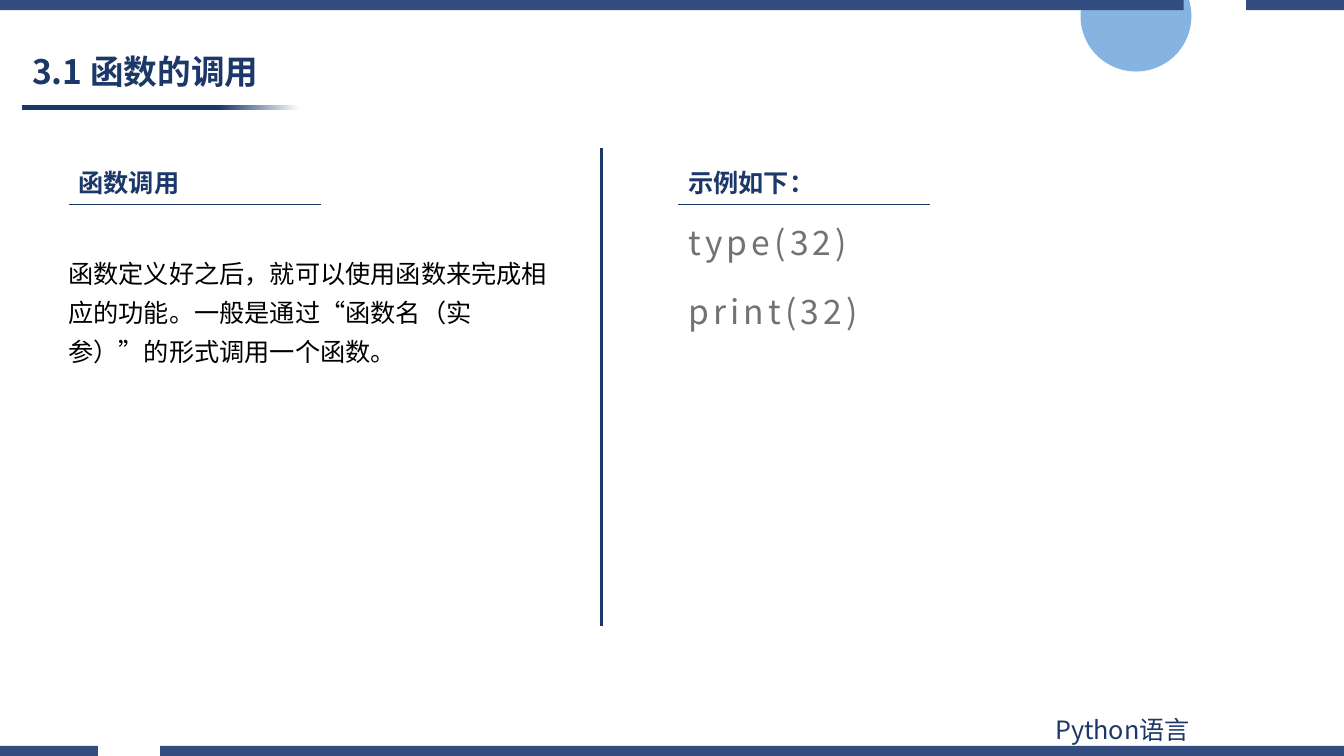
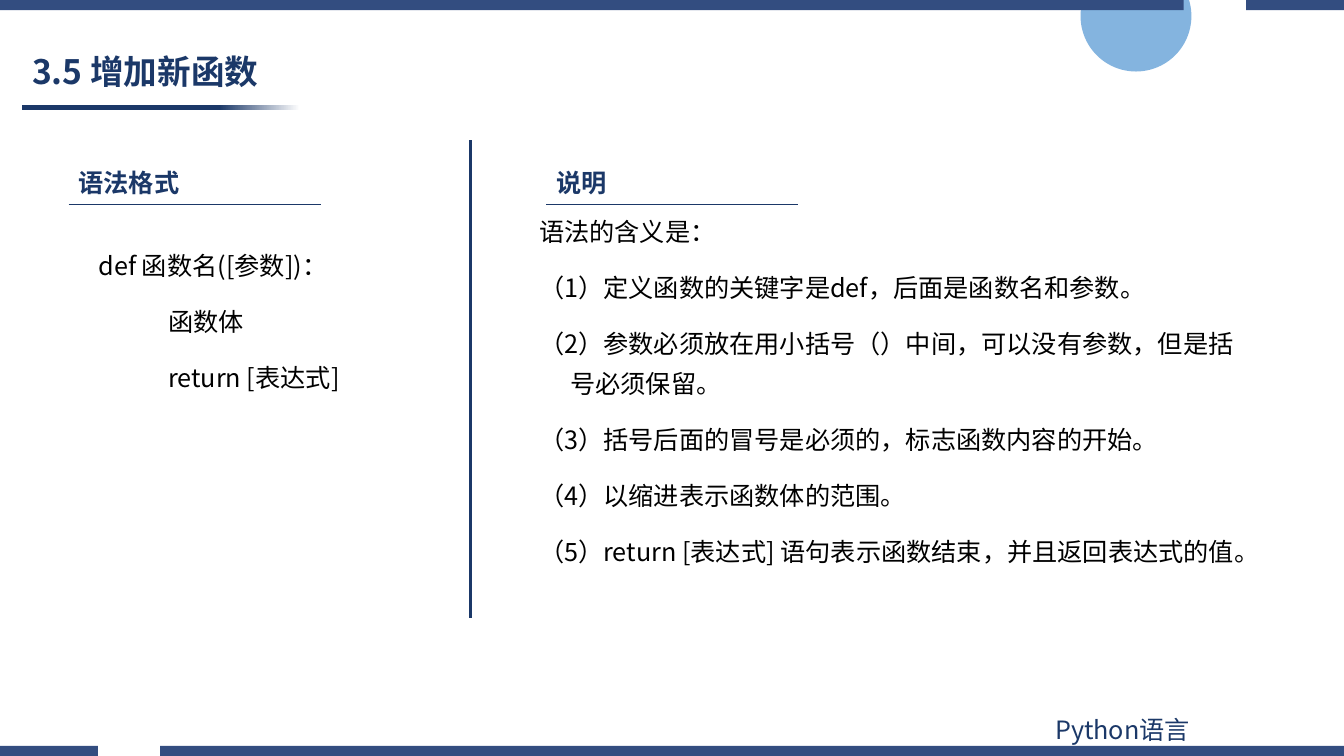
from dataclasses import dataclass
from typing import NamedTuple

from lxml import etree
from pptx import Presentation
from pptx.dml.color import RGBColor
from pptx.enum.shapes import MSO_CONNECTOR, MSO_SHAPE
from pptx.enum.text import MSO_ANCHOR
from pptx.oxml.ns import qn
from pptx.shapes.autoshape import Shape
from pptx.slide import Slide
from pptx.util import Inches, Pt

STRAIGHT = MSO_CONNECTOR.STRAIGHT
OVAL = MSO_SHAPE.OVAL
RECTANGLE = MSO_SHAPE.RECTANGLE
MIDDLE = MSO_ANCHOR.MIDDLE
TOP = MSO_ANCHOR.TOP

# The grid has square cells: 160 columns by 90 rows fill the slide.
COLUMNS, ROWS = 160, 90
CELL = Inches(1) // 12

BAND_HEIGHT = 1.2
BAND_SEGMENTS = ((0, 11.66), (19.08, COLUMNS))
HEADING_TOP = 19.32
UNDERLINE_ROW = 24.3
UNDERLINE_LENGTH = 30
DIVIDER_HEIGHT = 56.88
LEFT_HEADING = 8.16
HANGING = 3.72
TAB = 12


@dataclass(frozen=True)
class Theme:
    font: str = "Noto Sans CJK SC"
    navy: RGBColor = RGBColor(0x1B, 0x38, 0x68)
    band: RGBColor = RGBColor(0x33, 0x4D, 0x80)
    circle: RGBColor = RGBColor(0x5B, 0x9B, 0xD5)
    white: RGBColor = RGBColor(0xFF, 0xFF, 0xFF)
    black: RGBColor = RGBColor(0x00, 0x00, 0x00)
    gray: RGBColor = RGBColor(0x76, 0x71, 0x71)
    title_size: int = 24
    text_size: int = 18
    divider_width: float = 2
    underline_width: float = 0.5


THEME = Theme()


class Box(NamedTuple):
    left: float
    top: float
    width: float
    height: float


class Style(NamedTuple):
    size: int = THEME.text_size
    color: RGBColor = THEME.black
    bold: bool = False
    line_spacing: float = 1.0
    gap: float = 0
    letter_spacing: float = 0


class Line(NamedTuple):
    text: str
    margin: float = 0
    indent: float = 0


@dataclass(frozen=True)
class Panel:
    heading: str
    heading_left: float
    body: Box
    lines: tuple[Line, ...]
    style: Style


@dataclass(frozen=True)
class Lesson:
    title: str
    divider_column: float
    divider_top: float
    panels: tuple[Panel, ...]


TITLE = Style(THEME.title_size, THEME.navy, True, 0.9)
HEADING = Style(color=THEME.navy, bold=True)
FOOTER = Style(color=THEME.navy)
PROSE = Style(line_spacing=1.3)
LIST = Style(line_spacing=1.3, gap=6)
CODE = Style(THEME.title_size, THEME.gray, line_spacing=1.3, gap=6, letter_spacing=3)


def hanging(*texts: str) -> tuple[Line, ...]:
    return tuple(Line(text, HANGING, -HANGING) for text in texts)


LESSONS = (
    Lesson("3.1 函数的调用", 71.64, 17.64, (
        Panel("函数调用", LEFT_HEADING, Box(6.96, 29.04, 61.08, 19.8), (
            Line("函数定义好之后，就可以使用函数来完成相应的功能。"
                 "一般是通过“函数名（实参）”的形式调用一个函数。"),
        ), PROSE),
        Panel("示例如下：", 80.76, Box(80.76, 24.36, 48.72, 15.84),
              hanging("type(32)", "print(32)"), CODE),
    )),
    Lesson("3.5 增加新函数", 56.04, 16.68, (
        Panel("语法格式", LEFT_HEADING, Box(3.12, 28.08, 43.8, 19.44), (
            Line("def 函数名([参数])：", HANGING, HANGING),
            Line("函数体", HANGING, TAB),
            Line("return [表达式]", HANGING, TAB),
        ), LIST),
        Panel("说明", 65.04, Box(63, 24.12, 87.72, 50.04), hanging(
            "语法的含义是：",
            "（1）定义函数的关键字是def，后面是函数名和参数。",
            "（2）参数必须放在用小括号（）中间，可以没有参数，但是括号必须保留。",
            "（3）括号后面的冒号是必须的，标志函数内容的开始。",
            "（4）以缩进表示函数体的范围。",
            "（5）return [表达式] 语句表示函数结束，并且返回表达式的值。",
        ), LIST),
    )),
)


def cells(count: float) -> int:
    """Convert a number of grid cells to EMU."""
    return round(count * CELL)


def add_text(slide: Slide, box: Box, lines: tuple[Line, ...], style: Style,
             anchor: MSO_ANCHOR = TOP) -> None:
    frame = slide.shapes.add_textbox(*map(cells, box)).text_frame
    frame.word_wrap = True
    frame.vertical_anchor = anchor
    for index, line in enumerate(lines):
        paragraph = frame.add_paragraph() if index else frame.paragraphs[0]
        paragraph.text = line.text
        paragraph.line_spacing = style.line_spacing
        paragraph.space_before = Pt(style.gap if index else 0)
        paragraph.space_after = Pt(style.gap)
        font = paragraph.font
        font.name = THEME.font
        font.size = Pt(style.size)
        font.bold = style.bold
        font.color.rgb = style.color
        properties = paragraph._p.pPr
        properties.set("marL", str(cells(line.margin)))
        properties.set("indent", str(cells(line.indent)))
        defaults = properties.find(qn("a:defRPr"))
        etree.SubElement(defaults, qn("a:ea"), typeface=THEME.font)
        if style.letter_spacing:
            defaults.set("spc", str(round(style.letter_spacing * 100)))


def add_line(slide: Slide, start: tuple[float, float], end: tuple[float, float],
             width: float) -> None:
    connector = slide.shapes.add_connector(STRAIGHT, *map(cells, start + end))
    connector.line.color.rgb = THEME.navy
    connector.line.width = Pt(width)
    etree.SubElement(connector._element.spPr, qn("a:effectLst"))


def make_plain(shape: Shape) -> None:
    """Remove the outline and the shadow."""
    shape.line.fill.background()
    shape.shadow.inherit = False


def add_circle(slide: Slide) -> None:
    circle = slide.shapes.add_shape(OVAL, *map(cells, Box(128.64, -4.68, 13.2, 13.2)))
    circle.fill.solid()
    circle.fill.fore_color.rgb = THEME.circle
    color = circle._element.spPr.find(f"{qn('a:solidFill')}/{qn('a:srgbClr')}")
    etree.SubElement(color, qn("a:alpha"), val="75000")
    make_plain(circle)


def add_title_rule(slide: Slide) -> None:
    rule = slide.shapes.add_shape(RECTANGLE, *map(cells, Box(2.6, 12.5, 33.1, 0.6)))
    rule.fill.gradient()
    rule.fill.gradient_angle = 0
    fade = ((0.71, THEME.navy), (1.0, THEME.white))
    for stop, (position, color) in zip(rule.fill.gradient_stops, fade):
        stop.position = position
        stop.color.rgb = color
    make_plain(rule)


def add_band(slide: Slide, top: float, segments: tuple[tuple[float, float], ...]) -> None:
    bottom = top + BAND_HEIGHT
    builder = slide.shapes.build_freeform(cells(segments[0][0]), cells(top))
    for index, (left, right) in enumerate(segments):
        if index:
            builder.move_to(cells(left), cells(top))
        corners = ((right, top), (right, bottom), (left, bottom))
        builder.add_line_segments([(cells(x), cells(y)) for x, y in corners], close=True)
    band = builder.convert_to_shape()
    band.fill.solid()
    band.fill.fore_color.rgb = THEME.band
    make_plain(band)


def add_frame(slide: Slide) -> None:
    """Draw the decoration and footer that every slide shares."""
    mirrored = tuple((COLUMNS - right, COLUMNS - left)
                     for left, right in reversed(BAND_SEGMENTS))
    add_circle(slide)
    add_title_rule(slide)
    add_band(slide, ROWS - BAND_HEIGHT, BAND_SEGMENTS)
    add_band(slide, 0, mirrored)
    add_text(slide, Box(124.44, 84.48, 35.28, 4.8), (Line("Python语言"),), FOOTER)


def add_panel(slide: Slide, panel: Panel) -> None:
    left = panel.heading_left
    add_text(slide, Box(left, HEADING_TOP, 40.8, 4.8), (Line(panel.heading),), HEADING)
    add_line(slide, (left, UNDERLINE_ROW), (left + UNDERLINE_LENGTH, UNDERLINE_ROW),
             THEME.underline_width)
    add_text(slide, panel.body, panel.lines, panel.style)


def add_lesson(slide: Slide, lesson: Lesson) -> None:
    add_frame(slide)
    add_text(slide, Box(2.64, 5.4, 72, 6.72), (Line(lesson.title),), TITLE, MIDDLE)
    column, top = lesson.divider_column, lesson.divider_top
    add_line(slide, (column, top), (column, top + DIVIDER_HEIGHT), THEME.divider_width)
    for panel in lesson.panels:
        add_panel(slide, panel)


def main() -> None:
    presentation = Presentation()
    presentation.slide_width = cells(COLUMNS)
    presentation.slide_height = cells(ROWS)
    blank_layout = presentation.slide_layouts[6]
    for lesson in LESSONS:
        add_lesson(presentation.slides.add_slide(blank_layout), lesson)
    presentation.save("out.pptx")


if __name__ == "__main__":
    main()
